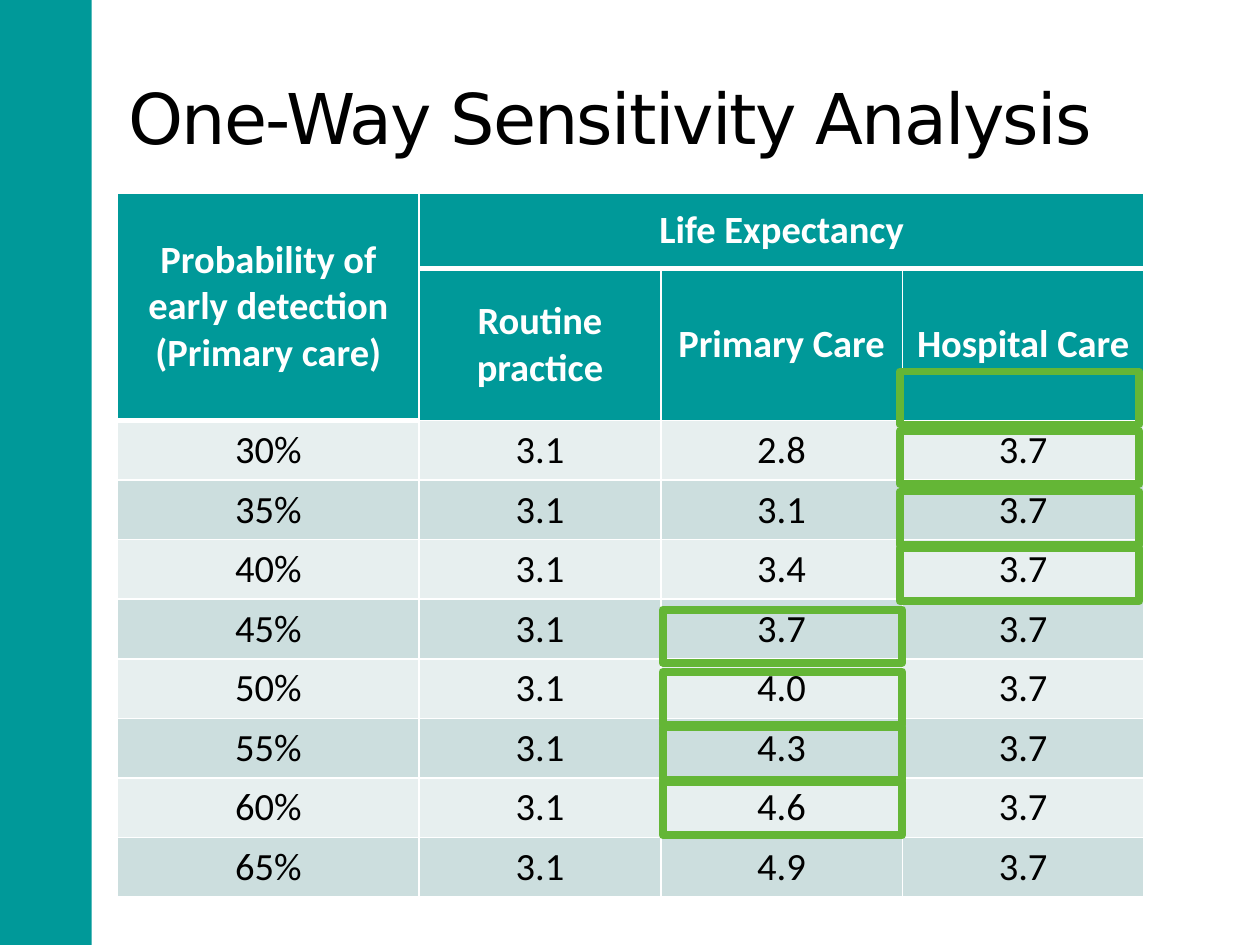
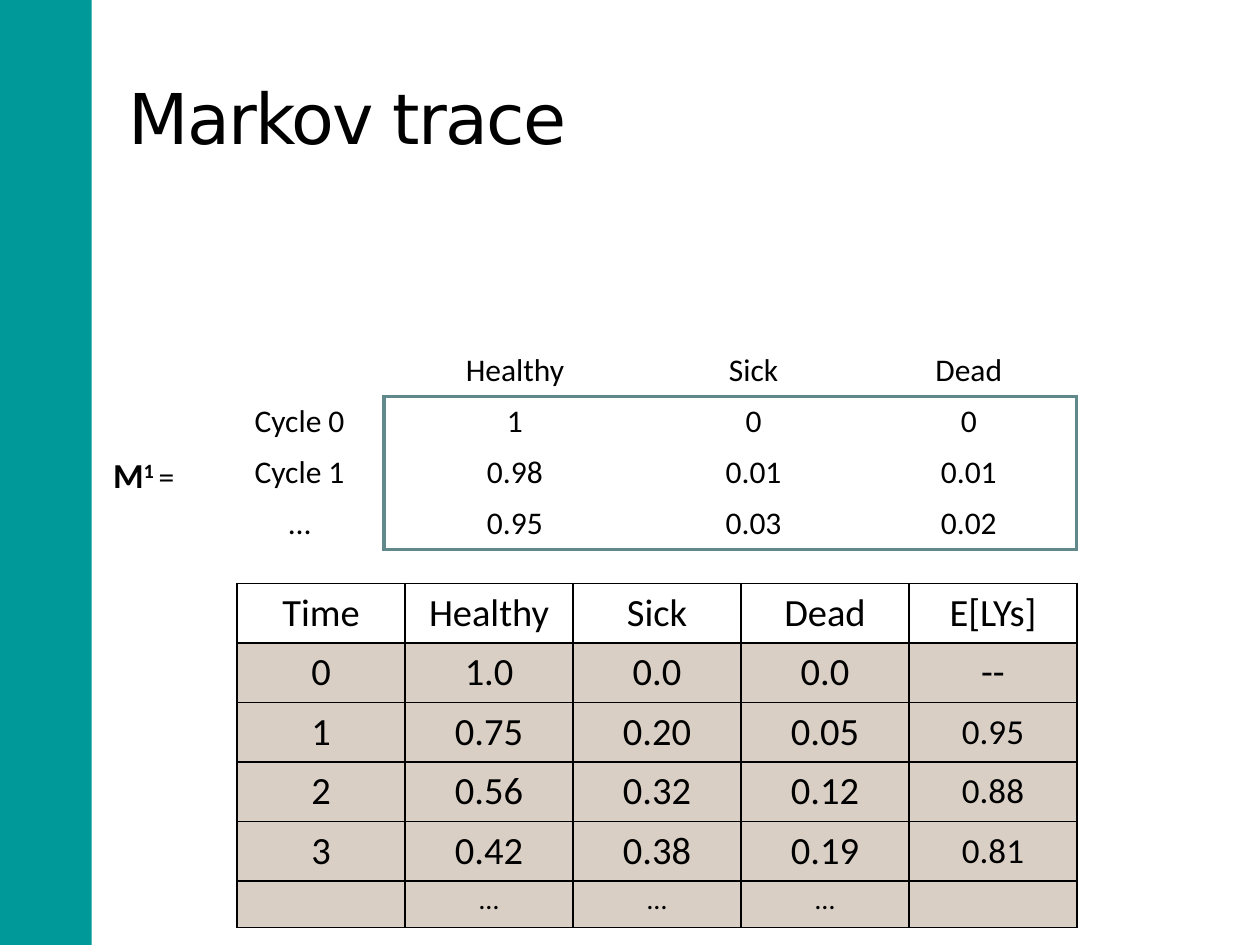
from collections import namedtuple

from lxml import etree
from pptx import Presentation
from pptx.dml.color import RGBColor
from pptx.enum import shapes, text
from pptx.oxml import ns
from pptx.util import Cm, Pt

Box = namedtuple("Box", "left top width height")

TEAL = "009999"
FRAME_TEAL = "61888A"
GREEN = "64B636"
BEIGE = "D9CFC5"
STRIPES = ["E7EFEF", "CCDEDE"]
WHITE = "FFFFFF"
BLACK = "000000"
BODY_FONT = "Calibri"
TITLE_FONT = "DejaVu Sans"

BAND_BOX = Box(-0.05, 0, 1.9, 19.05)
TITLE_BOX = Box(2.34, 0.76, 21.16, 3.18)
NEIGHBOURS = {"L": (0, -1), "R": (0, 1), "T": (-1, 0), "B": (1, 0)}


def rgb(value):
    return RGBColor.from_string(value)


def place(box):
    return [Cm(length) for length in box]


def style_span(span, size, color=BLACK, bold=False, name=BODY_FONT):
    span.font.name = name
    span.font.size = Pt(size)
    span.font.bold = bold
    span.font.color.rgb = rgb(color)


def add_rectangle(page, box, fill=None, line=None, weight=0):
    rectangle = page.shapes.add_shape(shapes.MSO_SHAPE.RECTANGLE, *place(box))
    rectangle.shadow.inherit = False
    if fill:
        rectangle.fill.solid()
        rectangle.fill.fore_color.rgb = rgb(fill)
    else:
        rectangle.fill.background()
    if line:
        rectangle.line.color.rgb = rgb(line)
        rectangle.line.width = Pt(weight)
    else:
        rectangle.line.fill.background()


def add_page(deck, title):
    page = deck.slides.add_slide(deck.slide_layouts[6])
    add_rectangle(page, BAND_BOX, fill=TEAL)
    frame = page.shapes.add_textbox(*place(TITLE_BOX)).text_frame
    frame.word_wrap = True
    frame.vertical_anchor = text.MSO_ANCHOR.MIDDLE
    frame.text = title
    span = frame.paragraphs[0].runs[0]
    style_span(span, 40, name=TITLE_FONT)
    span.font._element.set("spc", "-100")
    return page


def set_border(cell, side, color, weight):
    properties = cell._tc.get_or_add_tcPr()
    line = etree.SubElement(properties, ns.qn(f"a:ln{side}"), w=str(Pt(weight)))
    if weight:
        fill = etree.SubElement(line, ns.qn("a:solidFill"))
        etree.SubElement(fill, ns.qn("a:srgbClr"), val=color)
    else:
        etree.SubElement(line, ns.qn("a:noFill"))


def fill_cell(cell, value, size, color, bold):
    cell.vertical_anchor = text.MSO_ANCHOR.MIDDLE
    cell.text = value
    para = cell.text_frame.paragraphs[0]
    para.alignment = text.PP_ALIGN.CENTER
    for span in para.runs:
        style_span(span, size, color, bold)


def add_grid(page, box, rows, widths, heights, look, border):
    table = page.shapes.add_table(len(rows), len(widths), *place(box)).table
    table.first_row = table.horz_banding = False
    for column, width in zip(table.columns, widths):
        column.width = Cm(width)
    for row, height in zip(table.rows, heights):
        row.height = Cm(height)
    for r, values in enumerate(rows):
        for c, value in enumerate(values):
            cell = table.cell(r, c)
            fill, size, color, bold = look(r, c)
            fill_cell(cell, value, size, color, bold)
            for side in NEIGHBOURS:
                set_border(cell, side, *border(r, c, side))
            if fill:
                cell.fill.solid()
                cell.fill.fore_color.rgb = rgb(fill)
            else:
                cell.fill.background()
    return table


def add_sensitivity_table(page, box):
    primary = ["2.8", "3.1", "3.4", "3.7", "4.0", "4.3", "4.6", "4.9"]
    rows = [
        ["Probability of early detection (Primary care)", "Life Expectancy", "", ""],
        ["", "Routine practice", "Primary Care", "Hospital Care"],
    ]
    rows += [[f"{30 + 5 * i}%", "3.1", value, "3.7"] for i, value in enumerate(primary)]

    def look(r, c):
        if r < 2:
            return TEAL, 22, WHITE, True
        return STRIPES[r % 2], 22, BLACK, False

    def border(r, c, side):
        below_header = 2 if c == 0 else 1
        heavy = (side, r) in [("B", below_header - 1), ("T", below_header)]
        if c == 0 and (side, r) == ("B", 0):
            heavy = True
        return WHITE, 3 if heavy else 1

    heights = [1.52, 3.07] + [1.2] * len(primary)
    table = add_grid(page, box, rows, [6.08] + [4.87] * 3, heights, look, border)
    table.cell(0, 0).merge(table.cell(1, 0))
    table.cell(0, 1).merge(table.cell(0, 3))


def add_best_choice_marks(page, left, tops):
    for top in tops:
        add_rectangle(page, Box(left, top, 4.83, 1.07), line=GREEN, weight=4.5)


def add_trace_matrix(page, box):
    rows = [
        ["", "Healthy", "Sick", "Dead"],
        ["Cycle 0", "1", "0", "0"],
        ["Cycle 1", "0.98", "0.01", "0.01"],
        ["…", "0.95", "0.03", "0.02"],
    ]

    def inside(r, c):
        return 1 <= r <= 3 and 1 <= c <= 3

    def border(r, c, side):
        down, across = NEIGHBOURS[side]
        framed = inside(r, c) != inside(r + down, c + across)
        return FRAME_TEAL, 2.25 if framed else 0

    def look(r, c):
        return WHITE, 18, BLACK, False

    height = box.height / len(rows)
    add_grid(page, box, rows, [3.4, 5.28, 4.34, 4.34], [height] * 4, look, border)


def add_matrix_name(page, box):
    frame = page.shapes.add_textbox(*place(box)).text_frame
    frame.word_wrap = True
    para = frame.paragraphs[0]
    for value, size, bold, raised in [("M", 20, True, 0), ("1 ", 20, True, 30000), ("=", 18, False, 0)]:
        span = para.add_run()
        span.text = value
        style_span(span, size, bold=bold)
        if raised:
            span.font._element.set("baseline", str(raised))


def add_life_years_table(page, box):
    rows = [
        ["Time", "Healthy", "Sick", "Dead", "E[LYs]"],
        ["0", "1.0", "0.0", "0.0", "--"],
        ["1", "0.75", "0.20", "0.05", "0.95"],
        ["2", "0.56", "0.32", "0.12", "0.88"],
        ["3", "0.42", "0.38", "0.19", "0.81"],
        ["", "…", "…", "…", ""],
    ]

    def look(r, c):
        size = 16 if r == 5 else 20 if c == 4 and r > 1 else 22
        return BEIGE if r else None, size, BLACK, False

    def border(r, c, side):
        return BLACK, 1

    widths = [box.width / 5] * 5
    table = add_grid(page, box, rows, widths, [1.2] * 5 + [0.94], look, border)
    for cell in table.rows[5].cells:
        cell.margin_top = cell.margin_bottom = Cm(0.03)
        cell.vertical_anchor = text.MSO_ANCHOR.TOP


def build_sensitivity_page(deck):
    page = add_page(deck, "One-Way Sensitivity Analysis")
    add_sensitivity_table(page, Box(2.37, 3.89, 20.69, 14.19))
    add_best_choice_marks(page, 18.14, [7.49, 8.69, 9.91, 11.05])
    add_best_choice_marks(page, 13.36, [12.29, 13.54, 14.66, 15.77])


def build_markov_page(deck):
    page = add_page(deck, "Markov trace")
    add_trace_matrix(page, Box(4.34, 6.96, 17.36, 4.12))
    add_matrix_name(page, Box(2.03, 9.02, 1.9, 1.02))
    add_life_years_table(page, Box(4.78, 11.76, 16.93, 6.94))


def main():
    deck = Presentation()
    deck.slide_width = Cm(25.4)
    deck.slide_height = Cm(19.05)
    build_sensitivity_page(deck)
    build_markov_page(deck)
    deck.save("out.pptx")


if __name__ == "__main__":
    main()
